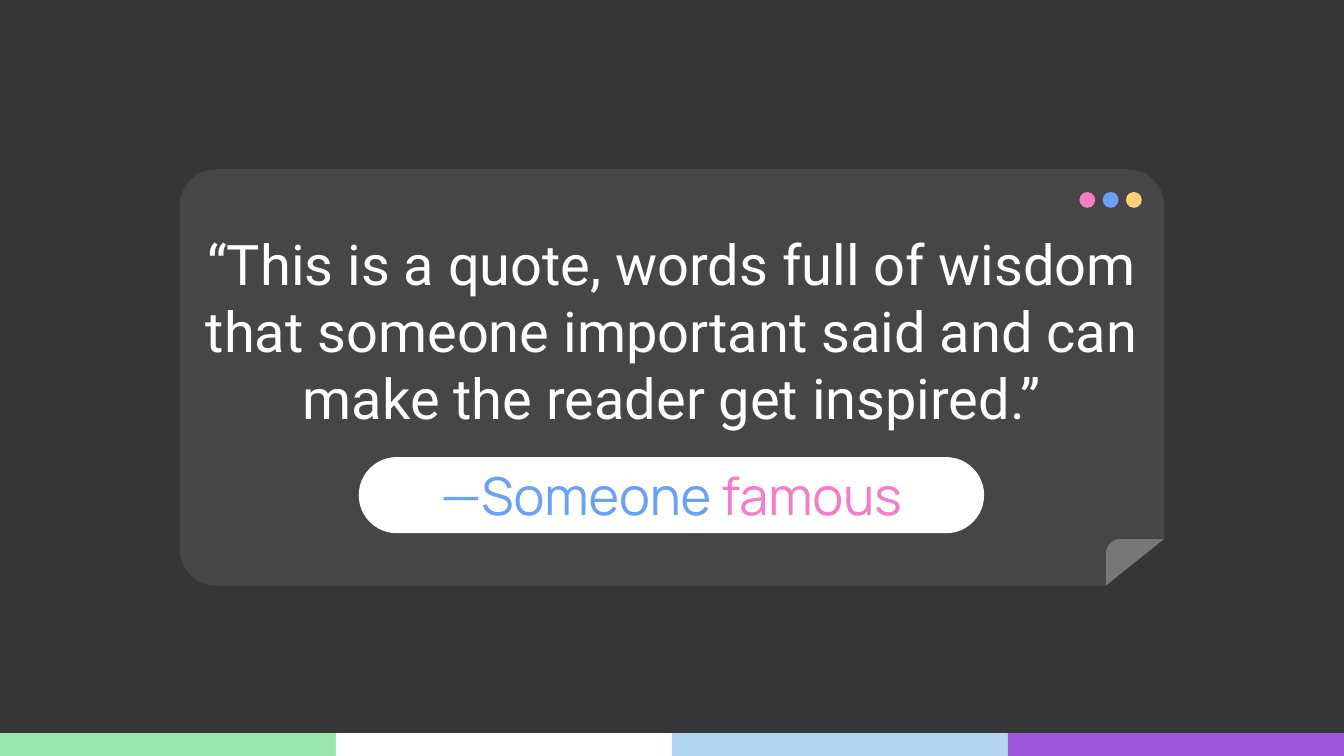
"""Build a quote slide: a note card, a name pill and a colour strip."""
from dataclasses import dataclass
from math import cos, pi, sin
from typing import NamedTuple

from pptx import Presentation
from pptx.dml.color import RGBColor as Rgb
from pptx.enum.shapes import MSO_SHAPE as Kind
from pptx.enum.text import MSO_ANCHOR as Anchor, MSO_AUTO_SIZE as Fit, PP_ALIGN as Align
from pptx.util import Cm, Pt


@dataclass(frozen=True)
class Theme:
    """Colours, fonts and type sizes."""
    back: str = "363636"
    card: str = "464646"
    fold: str = "777777"
    white: str = "FFFFFF"
    pink: str = "F57DC6"
    blue: str = "6AA1F7"
    gold: str = "FCCF78"
    strip: tuple = ("9AE6AE", "FFFFFF", "B3D5F2", "9D59DB")
    body: str = "Roboto"
    head: str = "Manrope"
    large: int = 30
    small: int = 28


class Box(NamedTuple):
    """A place in centimetres."""
    x: float
    y: float
    w: float
    h: float

    def emu(self) -> list:
        """Return the four lengths."""
        return [Cm(v) for v in self]


class Part(NamedTuple):
    """A filled shape, with its corner rounding if any."""
    kind: Kind
    box: Box
    fill: str
    round: float | None = None


THEME = Theme()
WIDTH, HEIGHT = 25.4, 14.29
CARD = Box(3.4, 3.2, 18.6, 7.87)
PILL = Box(6.78, 8.64, 11.82, 1.44)
QUOTE = Box(CARD.x, 4.19, CARD.w, 4.11)
NAME = Box(7.26, 8.61, 10.85, 1.47)
FOLD = Box(20.9, 10.19, 1.1, 0.88)


def paint(shape, fill: str) -> None:
    """Give a shape a flat fill with no line or shadow."""
    shape.shadow.inherit = False
    shape.fill.solid()
    shape.fill.fore_color.rgb = Rgb.from_string(fill)
    shape.line.fill.background()


def draw(slide, part: Part):
    """Draw one part and return its shape."""
    shape = slide.shapes.add_shape(part.kind, *part.box.emu())
    if part.round is not None:
        shape.adjustments[0] = part.round
    paint(shape, part.fill)
    return shape


def curl(slide, box: Box, radius: float, steps: int = 12) -> None:
    """Draw the folded corner over a patch of background."""
    patch = draw(slide, Part(Kind.RIGHT_TRIANGLE, box, THEME.back))
    patch._element.spPr.xfrm.set("flipH", "1")
    patch.line.color.rgb = Rgb.from_string(THEME.back)
    patch.line.width = Pt(0.75)
    turns = [pi / 2 * i / steps for i in range(steps + 1)]
    arc = [(Cm(box.x + radius * (1 - sin(t))), Cm(box.y + radius * (1 - cos(t))))
           for t in turns]
    ends = [(Cm(box.x), Cm(box.y + box.h)), (Cm(box.x + box.w), Cm(box.y))]
    pen = slide.shapes.build_freeform(*arc[0])
    pen.add_line_segments(arc[1:] + ends, close=True)
    paint(pen.convert_to_shape(), THEME.fold)


def write(shape, runs: list[tuple[str, str]], font: str, size: int) -> None:
    """Fill a shape with one centred paragraph of coloured runs."""
    frame = shape.text_frame
    frame.word_wrap = True
    frame.auto_size = Fit.NONE
    frame.vertical_anchor = Anchor.MIDDLE
    frame.margin_left = frame.margin_right = Cm(0.25)
    frame.margin_top = frame.margin_bottom = Cm(0.25)
    para = frame.paragraphs[0]
    para.alignment = Align.CENTER
    para.font.name, para.font.size = font, Pt(size)
    for text, tint in runs:
        run = para.add_run()
        run.text = text
        run.font.color.rgb = Rgb.from_string(tint)


def main() -> None:
    """Build and save the slide."""
    deck = Presentation()
    deck.slide_width, deck.slide_height = Cm(WIDTH), Cm(HEIGHT)
    slide = deck.slides.add_slide(deck.slide_layouts[5])
    slide.background.fill.solid()
    slide.background.fill.fore_color.rgb = Rgb.from_string(THEME.back)

    band = WIDTH / len(THEME.strip)
    parts = [Part(Kind.RECTANGLE, Box(i * band, 13.86, band, 0.43), fill)
             for i, fill in enumerate(THEME.strip)]
    parts.append(Part(Kind.ROUNDED_RECTANGLE, CARD, THEME.card, 0.087))
    parts += [Part(Kind.OVAL, Box(20.4 + i * 0.44, 3.63, 0.3, 0.3), fill)
              for i, fill in enumerate((THEME.pink, THEME.blue, THEME.gold))]
    for part in parts:
        draw(slide, part)
    curl(slide, FOLD, 0.28)
    draw(slide, Part(Kind.ROUNDED_RECTANGLE, PILL, THEME.white, 0.5))

    quote = ("“This is a quote, words full of wisdom that someone important "
             "said and can make the reader get inspired.”")
    write(slide.shapes.add_textbox(*QUOTE.emu()), [(quote, THEME.white)],
          THEME.body, THEME.large)

    title = slide.shapes.title
    title.left, title.top, title.width, title.height = NAME.emu()
    write(title, [("—Someone ", THEME.blue), ("famous", THEME.pink)],
          THEME.head, THEME.small)
    slide.shapes._spTree.append(title._element)
    deck.save("out.pptx")


if __name__ == "__main__":
    main()
